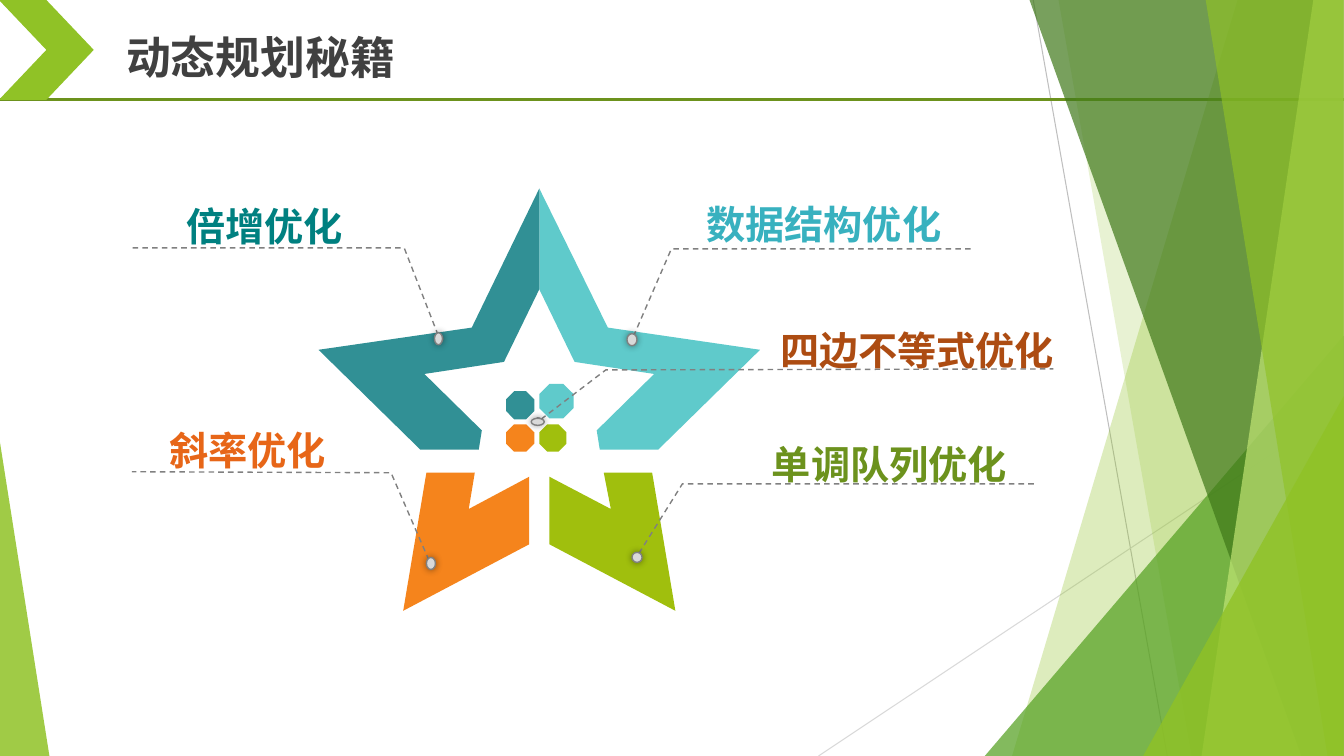
"""Builds the dynamic programming slide: a star with five labelled optimisation methods."""
from lxml import etree
from pptx import Presentation
from pptx import util as u
from pptx.dml.color import RGBColor
from pptx.enum import dml, shapes, text
from pptx.oxml.ns import qn

PX = u.Inches(1) // 100
FONT = "Noto Sans CJK SC"
LIME = RGBColor(0x90, 0xC2, 0x26)
LEAF = RGBColor(0x54, 0xA0, 0x21)
FOREST = RGBColor(0x3F, 0x78, 0x19)
PALE = RGBColor(0xC0, 0xE4, 0x74)
OLIVE = RGBColor(0x6C, 0x92, 0x1D)
GREEN = RGBColor(0xA0, 0xBF, 0x0D)
ORANGE = RGBColor(0xF5, 0x84, 0x1C)
AQUA = RGBColor(0x5F, 0xCA, 0xCB)
TEAL = RGBColor(0x31, 0x90, 0x95)
AQUA_TEXT = RGBColor(0x38, 0xB1, 0xBF)
TEAL_TEXT = RGBColor(0x00, 0x80, 0x80)
BROWN_TEXT = RGBColor(0xAD, 0x4C, 0x12)
ORANGE_TEXT = RGBColor(0xE7, 0x66, 0x18)
DARK = RGBColor(0x40, 0x40, 0x40)
GRAY = RGBColor(0x80, 0x80, 0x80)
SILVER = RGBColor(0xBF, 0xBF, 0xBF)
LIGHT = RGBColor(0xD9, 0xD9, 0xD9)

deck = Presentation()
deck.slide_width, deck.slide_height = u.Inches(13.333), u.Inches(7.5)
page = deck.slides.add_slide(deck.slide_layouts[5])


def outline(points, close=True):
    """Draw straight segments through the points."""
    builder = page.shapes.build_freeform(*points[0], scale=PX)
    builder.add_line_segments(points[1:], close=close)
    shape = builder.convert_to_shape()
    shape.shadow.inherit = False
    return shape


def preset(kind, rect, color):
    """Draw a plain preset shape."""
    shape = page.shapes.add_shape(kind, *(n * PX for n in rect))
    shape.shadow.inherit = False
    shape.fill.solid()
    shape.fill.fore_color.rgb = color
    shape.line.fill.background()
    return shape


for ends, color, width in [
    ((1025, 0, 1158, 750), SILVER, 0.75),
    ((1333, 403, 812, 750), LIGHT, 0.75),
    ((0, 99, 1334, 99), OLIVE, 2.25),
]:
    rule = page.shapes.add_connector(shapes.MSO_CONNECTOR.STRAIGHT, *(n * PX for n in ends))
    rule.line.color.rgb = color
    rule.line.width = u.Pt(width)
    etree.SubElement(rule.element.spPr, qn("a:effectLst"))

for top_left, bottom_left, color, opacity in [
    (1228, 1004, LIME, 30),
    (1050, 1182, LIME, 20),
    ((977, 333, 356, 417), 1, LEAF, 72),
    (1021, 1291, FOREST, 70),
    (1303, 1192, PALE, 70),
    (1196, 1317, LIME, 65),
    ((1134, 393, 199, 357), 1, LIME, 80),
    ((0, 439, 49, 311), 0, LIME, 85),
]:
    if isinstance(top_left, tuple):
        facet = preset(shapes.MSO_SHAPE.ISOSCELES_TRIANGLE, top_left, color)
        facet.adjustments[0] = bottom_left
    else:
        facet = outline([(top_left, -1), (1333, -1), (1333, 750), (bottom_left, 750)])
        facet.fill.solid()
        facet.fill.fore_color.rgb = color
        facet.line.fill.background()
    tint = facet.element.spPr.find(qn("a:solidFill")).find(qn("a:srgbClr"))
    etree.SubElement(tint, qn("a:alpha"), val=str(opacity * 1000))

preset(shapes.MSO_SHAPE.CHEVRON, (-1, 0, 94, 99), LIME)

for color, points in [
    (GREEN, [(545, 473), (545, 540), (670, 606), (647, 469), (599, 469), (606, 505)]),
    (ORANGE, [(525, 473), (465, 505), (471, 469), (423, 469), (400, 606), (525, 540)]),
    (AQUA, [(603, 325), (535, 187), (535, 287), (570, 359), (649, 371), (592, 427),
            (595, 446), (653, 446), (754, 347)]),
    (TEAL, [(468, 325), (316, 347), (417, 446), (475, 446), (478, 427), (421, 371),
            (500, 359), (535, 287), (535, 187)]),
]:
    arm = outline(points)
    arm.fill.solid()
    arm.fill.fore_color.rgb = color
    arm.line.fill.background()

for rect, color in [
    ((502, 388, 28, 28), TEAL),
    ((535, 381, 34, 34), AQUA),
    ((502, 421, 28, 27), ORANGE),
    ((535, 421, 27, 27), GREEN),
]:
    preset(shapes.MSO_SHAPE.OCTAGON, rect, color)

title = page.shapes.title
labels = [(title, "动态规划秘籍", (115, 24, 433, 64), 32, DARK, 1, text.PP_ALIGN.LEFT)]
for words, rect, color, leader, dot in [
    ("数据结构优化", (691, 170, 267, 81), AQUA_TEXT,
     [(627, 337), (666, 247), (966, 247)], (622, 331, 10, 12)),
    ("倍增优化", (175, 172, 249, 72), TEAL_TEXT,
     [(436, 336), (401, 246), (131, 246)], (431, 330, 8, 12)),
    ("四边不等式优化", (764, 295, 354, 72), BROWN_TEXT,
     [(534, 418), (601, 367), (1045, 366)], (527, 415, 13, 7)),
    ("斜率优化", (158, 395, 249, 72), ORANGE_TEXT,
     [(427, 559), (388, 469), (131, 468)], (423, 553, 9, 12)),
    ("单调队列优化", (756, 409, 285, 72), OLIVE,
     [(632, 552), (677, 480), (1029, 480)], (627, 548, 10, 10)),
]:
    box = page.shapes.add_textbox(0, 0, 0, 0)
    labels.append((box, words, rect, 28, color, 1.5, text.PP_ALIGN.JUSTIFY))

    path_line = outline(leader, close=False)
    path_line.fill.background()
    path_line.line.color.rgb = GRAY
    path_line.line.width = u.Pt(1)
    path_line.line.dash_style = dml.MSO_LINE.DASH
    etree.SubElement(path_line.element.spPr.find(qn("a:ln")), qn("a:headEnd"), type="oval")

    marker = preset(shapes.MSO_SHAPE.OVAL, dot, LIGHT)
    marker.line.color.rgb = GRAY
    marker.line.width = u.Pt(1)
    effects = marker.element.spPr.find(qn("a:effectLst"))
    glow = etree.SubElement(effects, qn("a:outerShdw"), blurRad=str(u.Pt(5)), dist="0", dir="0")
    black = etree.SubElement(glow, qn("a:srgbClr"), val="000000")
    etree.SubElement(black, qn("a:alpha"), val="40000")

for box, words, rect, size, color, spacing, align in labels:
    for name, value in zip(("left", "top", "width", "height"), rect):
        setattr(box, name, value * PX)
    frame = box.text_frame
    frame.word_wrap = True
    frame.auto_size = text.MSO_AUTO_SIZE.NONE
    frame.vertical_anchor = text.MSO_ANCHOR.TOP
    para = frame.paragraphs[0]
    para.alignment = align
    para.line_spacing = spacing
    span = para.add_run()
    span.text = words
    for name, value in {"name": FONT, "size": u.Pt(size), "bold": True}.items():
        setattr(span.font, name, value)
    span.font.color.rgb = color
    etree.SubElement(span.font._element, qn("a:ea"), typeface=FONT)

deck.save("out.pptx")
